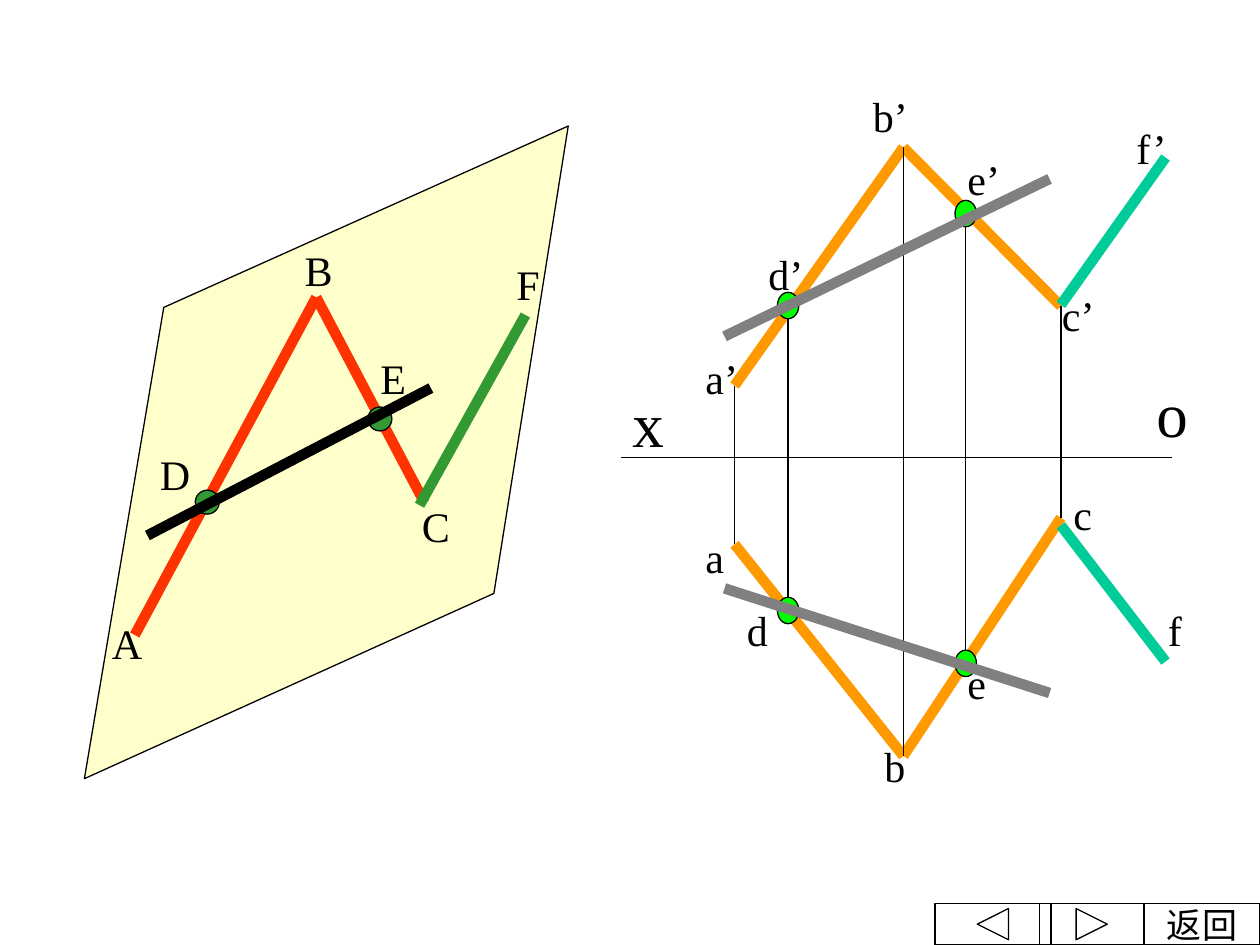
from lxml.etree import SubElement
from pptx import Presentation
from pptx.dml.color import RGBColor
from pptx.enum.shapes import MSO_CONNECTOR, MSO_SHAPE
from pptx.enum.text import MSO_ANCHOR, PP_ALIGN
from pptx.oxml.ns import qn
from pptx.util import Inches, Pt

BLACK = RGBColor(0x00, 0x00, 0x00)
GRAY = RGBColor(0x80, 0x80, 0x80)
CREAM = RGBColor(0xFF, 0xFF, 0xCC)
RED = RGBColor(0xFF, 0x33, 0x00)
GREEN = RGBColor(0x33, 0x99, 0x33)
ORANGE = RGBColor(0xFF, 0x99, 0x00)
LIME = RGBColor(0x00, 0xFF, 0x00)
TEAL = RGBColor(0x00, 0xCC, 0x99)

FONT = "Times New Roman"
THIN, THICK = 0.75, 6

PLANE = [(1.3, 2.44), (4.51, 1), (3.92, 4.71), (0.67, 6.18)]
SPACE_PATH = [(1.07, 5.04), (2.51, 2.36), (3.37, 3.99)]
FRONT_PATH = [(5.83, 3.06), (7.17, 1.17), (8.42, 2.43)]
TOP_PATH = [(5.83, 4.32), (7.17, 6), (8.42, 4.11)]

SPACE_POINTS = [(3.015, 3.325), (1.645, 3.985)]
PROJECTED_POINTS = [(6.255, 2.425, 4.845), (7.665, 1.695, 5.265)]

CROSSING_LINES = [
    ((1.17, 4.25), (3.42, 3.08), BLACK),
    ((5.75, 2.67), (8.33, 1.42), GRAY),
    ((5.75, 4.67), (8.33, 5.5), GRAY),
]
PARALLEL_LINES = [
    ((3.33, 4.01), (4.17, 2.5), GREEN),
    ((8.42, 4.17), (9.25, 5.25), TEAL),
    ((8.42, 2.42), (9.25, 1.25), TEAL),
]

POINT_LABELS = [
    ("A", 0.79, 4.85), ("B", 2.32, 1.89), ("C", 3.25, 3.92),
    ("D", 1.17, 3.51), ("E", 2.92, 2.75), ("F", 4, 2),
    ("a’", 5.5, 2.75), ("b’", 6.83, 0.67), ("c’", 8.33, 2.25),
    ("d’", 6, 1.92), ("e’", 7.58, 1.17), ("f’", 8.92, 0.92),
    ("a", 5.5, 4.17), ("b", 6.92, 5.83), ("c", 8.42, 3.83),
    ("d", 5.83, 4.75), ("e", 7.58, 5.17), ("f", 9.17, 4.75),
]
AXIS_LABELS = [("x", 4.92, 3), ("o", 9.08, 2.92)]


def write_text(frame, text, size=24, align=PP_ALIGN.LEFT,
               anchor=MSO_ANCHOR.TOP, wrap=True):
    frame.word_wrap = wrap
    frame.vertical_anchor = anchor
    paragraph = frame.paragraphs[0]
    paragraph.alignment = align
    run = paragraph.add_run()
    run.text = text
    run.font.name = FONT
    run.font.size = Pt(size)
    run.font.color.rgb = BLACK


def add_label(slide, text, left, top, width=0.58, height=0.5, **text_format):
    label = slide.shapes.add_textbox(
        Inches(left), Inches(top), Inches(width), Inches(height))
    write_text(label.text_frame, text, **text_format)


def style_outline(shape, fill=None):
    shape.shadow.inherit = False
    if fill is None:
        shape.fill.background()
    else:
        shape.fill.solid()
        shape.fill.fore_color.rgb = fill
    shape.line.color.rgb = BLACK
    shape.line.width = Pt(THIN)


def add_segment(slide, start, end, color=BLACK, weight=THIN):
    segment = slide.shapes.add_connector(
        MSO_CONNECTOR.STRAIGHT, *map(Inches, (*start, *end)))
    segment.line.color.rgb = color
    segment.line.width = Pt(weight)
    SubElement(segment._element.spPr, qn("a:effectLst"))


def add_path(slide, points, color):
    for start, end in zip(points, points[1:]):
        add_segment(slide, start, end, color, THICK)


def add_plane(slide):
    corners = [(Inches(x), Inches(y)) for x, y in PLANE]
    builder = slide.shapes.build_freeform(*corners[0])
    builder.add_line_segments(corners[1:], close=True)
    style_outline(builder.convert_to_shape(), CREAM)


def add_dot(slide, center, width, height, color):
    x, y = center
    dot = slide.shapes.add_shape(
        MSO_SHAPE.OVAL, Inches(x - width / 2), Inches(y - height / 2),
        Inches(width), Inches(height))
    style_outline(dot, color)


def add_button(slide, kind, left, width, text=None):
    button = slide.shapes.add_shape(
        kind, Inches(left), Inches(7.17), Inches(width), Inches(0.33))
    style_outline(button)
    if text:
        write_text(button.text_frame, text, size=20, align=PP_ALIGN.CENTER,
                   anchor=MSO_ANCHOR.MIDDLE, wrap=False)


def add_space_view(slide):
    add_plane(slide)
    add_path(slide, SPACE_PATH, RED)
    for center in SPACE_POINTS:
        add_dot(slide, center, 0.19, 0.19, GREEN)


def add_projections(slide):
    add_segment(slide, (4.93, 3.63), (9.3, 3.63))
    add_path(slide, FRONT_PATH, ORANGE)
    add_path(slide, TOP_PATH, ORANGE)
    for front, top in zip(FRONT_PATH, TOP_PATH):
        add_segment(slide, front, top)
    for x, front_y, top_y in PROJECTED_POINTS:
        add_segment(slide, (x, front_y), (x, top_y))
        for y in (front_y, top_y):
            add_dot(slide, (x, y), 0.17, 0.21, LIME)


def main():
    presentation = Presentation()
    presentation.slide_width = Inches(10)
    presentation.slide_height = Inches(7.5)
    slide = presentation.slides.add_slide(presentation.slide_layouts[6])

    add_space_view(slide)
    add_projections(slide)
    for start, end, color in CROSSING_LINES + PARALLEL_LINES:
        add_segment(slide, start, end, color, THICK)

    for text, left, top in POINT_LABELS:
        add_label(slide, text, left, top, width=0.48 if text.isupper() else 0.58)
    for text, left, top in AXIS_LABELS:
        add_label(slide, text, left, top, width=0.7, height=0.7, size=36)

    add_button(slide, MSO_SHAPE.ACTION_BUTTON_CUSTOM, 9.08, 0.92, "返回")
    add_button(slide, MSO_SHAPE.ACTION_BUTTON_BACK_OR_PREVIOUS, 7.42, 0.92)
    add_button(slide, MSO_SHAPE.ACTION_BUTTON_FORWARD_OR_NEXT, 8.25, 0.83)

    presentation.save("out.pptx")


if __name__ == "__main__":
    main()
